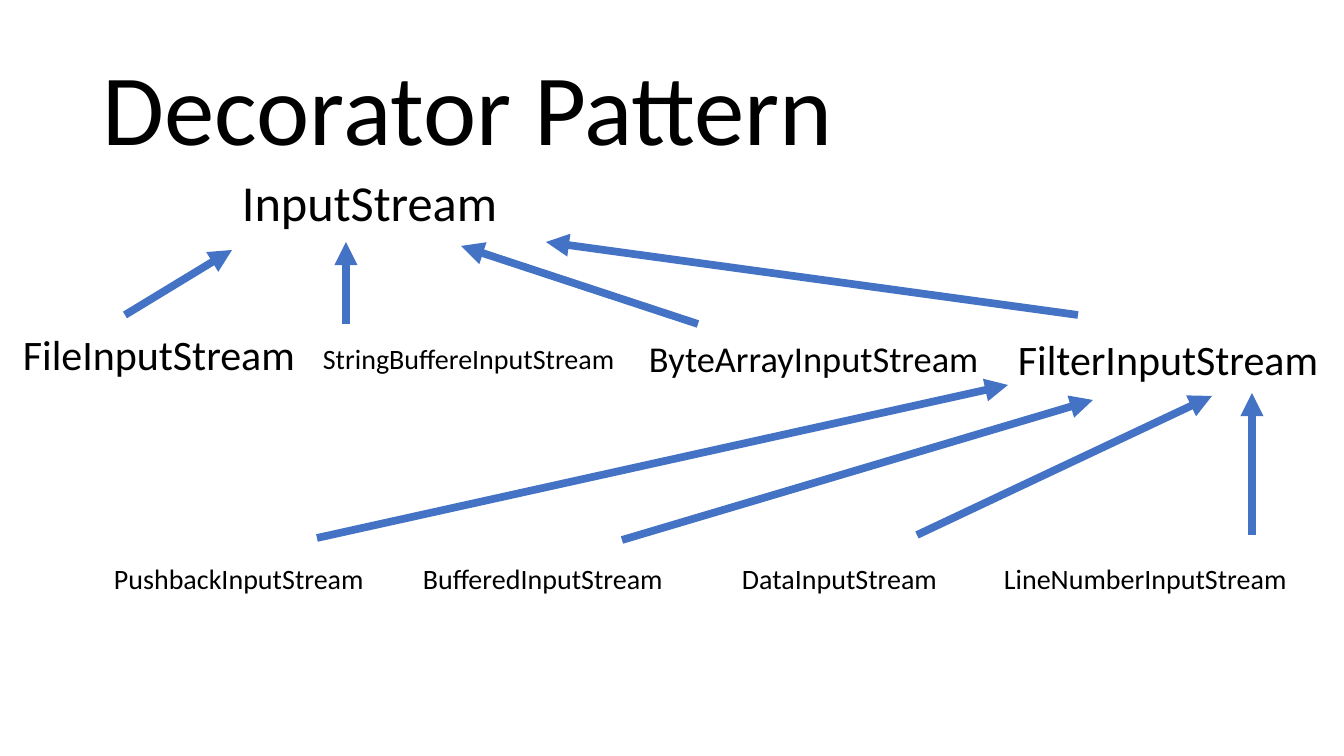
from typing import NamedTuple

import pptx
import pptx.dml.color
import pptx.enum.shapes
import pptx.enum.text
import pptx.oxml
import pptx.oxml.ns
import pptx.util

SCALE = 914400 / 100.8
FONT = "Calibri"
BLACK = "000000"
BLUE = "4472C4"
LEAF_TOP = 557


class Label(NamedTuple):
    text: str
    left: int
    top: int
    width: int
    height: int
    size: int


class Arrow(NamedTuple):
    x: int
    y: int
    to_x: int
    to_y: int


TITLE = Label("Decorator Pattern", 93, 40, 1159, 146, 72)
LEAVES = [
    ("PushbackInputStream", 104),
    ("BufferedInputStream", 413),
    ("DataInputStream", 732),
    ("LineNumberInputStream", 994),
]
LABELS = [
    Label("InputStream", 232, 166, 314, 72, 36),
    Label("FileInputStream", 13, 324, 314, 61, 30),
    Label("StringBuffereInputStream", 313, 337, 314, 44, 20),
    Label("ByteArrayInputStream", 639, 331, 358, 54, 26),
    Label("FilterInputStream", 1008, 329, 323, 61, 30),
] + [Label(text, left, LEAF_TOP, 314, 44, 20) for text, left in LEAVES]
ARROWS = [
    Arrow(125, 315, 232, 250),
    Arrow(346, 324, 346, 242),
    Arrow(698, 324, 461, 246),
    Arrow(1078, 315, 546, 242),
    Arrow(317, 538, 1008, 385),
    Arrow(622, 540, 1093, 400),
    Arrow(917, 535, 1212, 396),
    Arrow(1252, 535, 1252, 393),
]


def px(count: int) -> int:
    return round(count * SCALE)


def tint(color, code: str) -> None:
    color.rgb = pptx.dml.color.RGBColor.from_string(code)


def write(slide, label: Label):
    box = slide.shapes.add_textbox(
        px(label.left), px(label.top), px(label.width), px(label.height)
    )
    frame = box.text_frame
    frame.word_wrap = True
    line = frame.paragraphs[0]
    line.text = label.text
    line.font.name = FONT
    line.font.size = pptx.util.Pt(label.size)
    tint(line.font.color, BLACK)
    return frame


def point(slide, arrow: Arrow) -> None:
    link = slide.shapes.add_connector(
        pptx.enum.shapes.MSO_CONNECTOR.STRAIGHT, *map(px, arrow)
    )
    link.line.width = pptx.util.Pt(5.5)
    tint(link.line.color, BLUE)
    head = pptx.oxml.parse_xml(
        f'<a:tailEnd {pptx.oxml.ns.nsdecls("a")} type="triangle"/>'
    )
    link.line._get_or_add_ln().append(head)
    blank = pptx.oxml.parse_xml(f'<a:effectLst {pptx.oxml.ns.nsdecls("a")}/>')
    link._element.spPr.append(blank)


deck = pptx.Presentation()
deck.slide_width = px(1344)
deck.slide_height = px(756)
slide = deck.slides.add_slide(deck.slide_layouts[6])

title = write(slide, TITLE)
title.vertical_anchor = pptx.enum.text.MSO_ANCHOR.MIDDLE
title.paragraphs[0].line_spacing = 0.9
for label in LABELS:
    frame = write(slide, label)
    frame.auto_size = pptx.enum.text.MSO_AUTO_SIZE.SHAPE_TO_FIT_TEXT
for arrow in ARROWS:
    point(slide, arrow)

deck.save("out.pptx")
